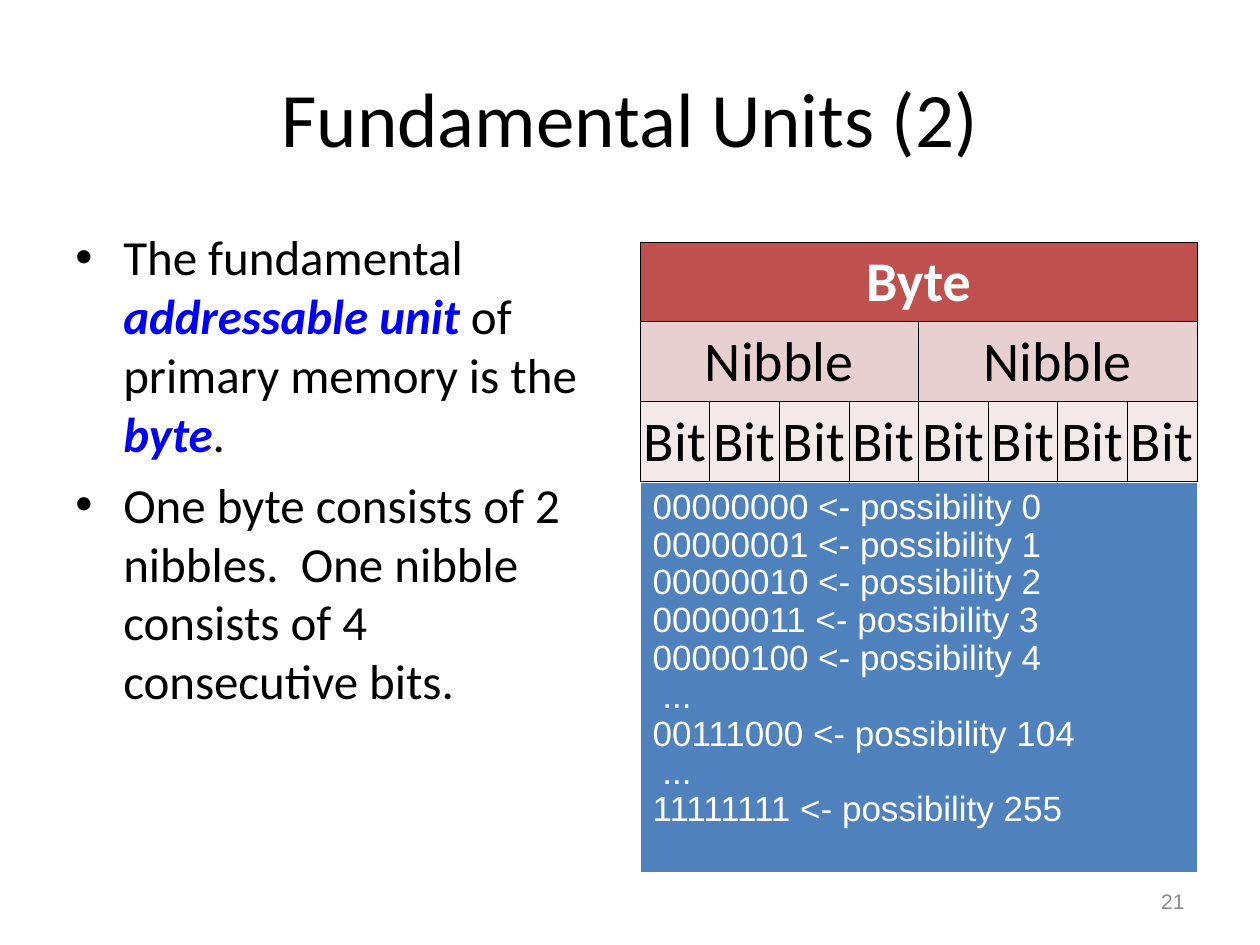
import pptx
import pptx.util
import pptx.dml.color
import pptx.enum.text
import pptx.oxml
import pptx.oxml.ns
import lxml.etree

Inches = pptx.util.Inches
Pt = pptx.util.Pt
align = pptx.enum.text.PP_ALIGN
anchor = pptx.enum.text.MSO_ANCHOR
qn = pptx.oxml.ns.qn

hues = {
    "black": "000000", "white": "FFFFFF", "blue": "0000FF",
    "red": "C0504D", "rose": "E8D0D0", "pale": "F4E9E9",
    "steel": "4F81BD", "gray": "898989",
}


def add_run(para, text, size, font, hue, bold=False, slant=False):
    run = para.add_run()
    run.text = text
    run.font.size = Pt(size)
    run.font.name = font
    run.font.bold = bold
    run.font.italic = slant
    run.font.color.rgb = pptx.dml.color.RGBColor.from_string(hues[hue])


def style_cell(cell, fill, edge, widths):
    props = cell._tc.get_or_add_tcPr()
    for side, width in zip("LRTB", widths):
        line = lxml.etree.SubElement(props, qn("a:ln" + side), w=str(Pt(width)))
        solid = lxml.etree.SubElement(line, qn("a:solidFill"))
        lxml.etree.SubElement(solid, qn("a:srgbClr"), val=hues[edge])
    cell.fill.solid()
    cell.fill.fore_color.rgb = pptx.dml.color.RGBColor.from_string(hues[fill])


deck = pptx.Presentation()
deck.slide_width = Inches(10)
deck.slide_height = Inches(7.5)
slide = deck.slides.add_slide(deck.slide_layouts[6])
shapes = slide.shapes

title = shapes.add_textbox(Inches(0.5), Inches(0.3), Inches(9), Inches(1.25)).text_frame
title.word_wrap = True
title.vertical_anchor = anchor.MIDDLE
title.paragraphs[0].alignment = align.CENTER
add_run(title.paragraphs[0], "Fundamental Units (2)", 44, "Calibri", "black")

points = [
    [("The fundamental ", False), ("addressable unit", True),
     (" of primary memory is the ", False), ("byte", True), (".", False)],
    [("One byte consists of 2 nibbles.  One nibble consists of 4 consecutive bits.", False)],
]
body = shapes.add_textbox(Inches(0.5), Inches(1.75), Inches(4.42), Inches(4.95)).text_frame
body.word_wrap = True
for n, point in enumerate(points):
    para = body.add_paragraph() if n else body.paragraphs[0]
    para.space_before = Pt(7)
    props = para._p.get_or_add_pPr()
    props.set("marL", str(Inches(0.38)))
    props.set("indent", str(Inches(-0.38)))
    lxml.etree.SubElement(props, qn("a:buFont"), typeface="Arial")
    lxml.etree.SubElement(props, qn("a:buChar"), char="•")
    for text, key in point:
        add_run(para, text, 28, "Calibri", "blue" if key else "black", key, key)

rows = [("Byte", 8, "red", "white"), ("Nibble", 4, "rose", "black"), ("Bit", 1, "pale", "black")]
units = shapes.add_table(3, 8, Inches(5.08), Inches(1.92), Inches(4.42), Inches(1.81)).table
for r, (name, span, fill, hue) in enumerate(rows):
    for c in range(8):
        cell = units.cell(r, c)
        style_cell(cell, fill, "black", [0.45] * 4)
        if c % span:
            continue
        if span > 1:
            cell.merge(units.cell(r, c + span - 1))
        cell.margin_left = cell.margin_right = Inches(0.02)
        cell.vertical_anchor = anchor.MIDDLE
        para = cell.text_frame.paragraphs[0]
        para.alignment = align.CENTER
        add_run(para, name, 32, "Calibri", hue, bold=r == 0)

lines = [f"{n:08b} <- possibility {n}" for n in range(5)]
lines += [" ...", "00111000 <- possibility 104", " ...", "11111111 <- possibility 255"]
values = shapes.add_table(1, 1, Inches(5.08), Inches(3.83), Inches(4.42), Inches(3.1)).table
cell = values.cell(0, 0)
style_cell(cell, "steel", "white", [0.45, 0.45, 0.45, 1.47])
for n, text in enumerate(lines):
    para = cell.text_frame.add_paragraph() if n else cell.text_frame.paragraphs[0]
    para.line_spacing = 0.97
    add_run(para, text, 20, "Arial", "white")

page = shapes.add_textbox(Inches(7.17), Inches(6.95), Inches(2.33), Inches(0.4)).text_frame
page.word_wrap = True
page.vertical_anchor = anchor.MIDDLE
page.paragraphs[0].alignment = align.RIGHT
add_run(page.paragraphs[0], "21", 12, "Arial", "gray")

deck.save("out.pptx")
